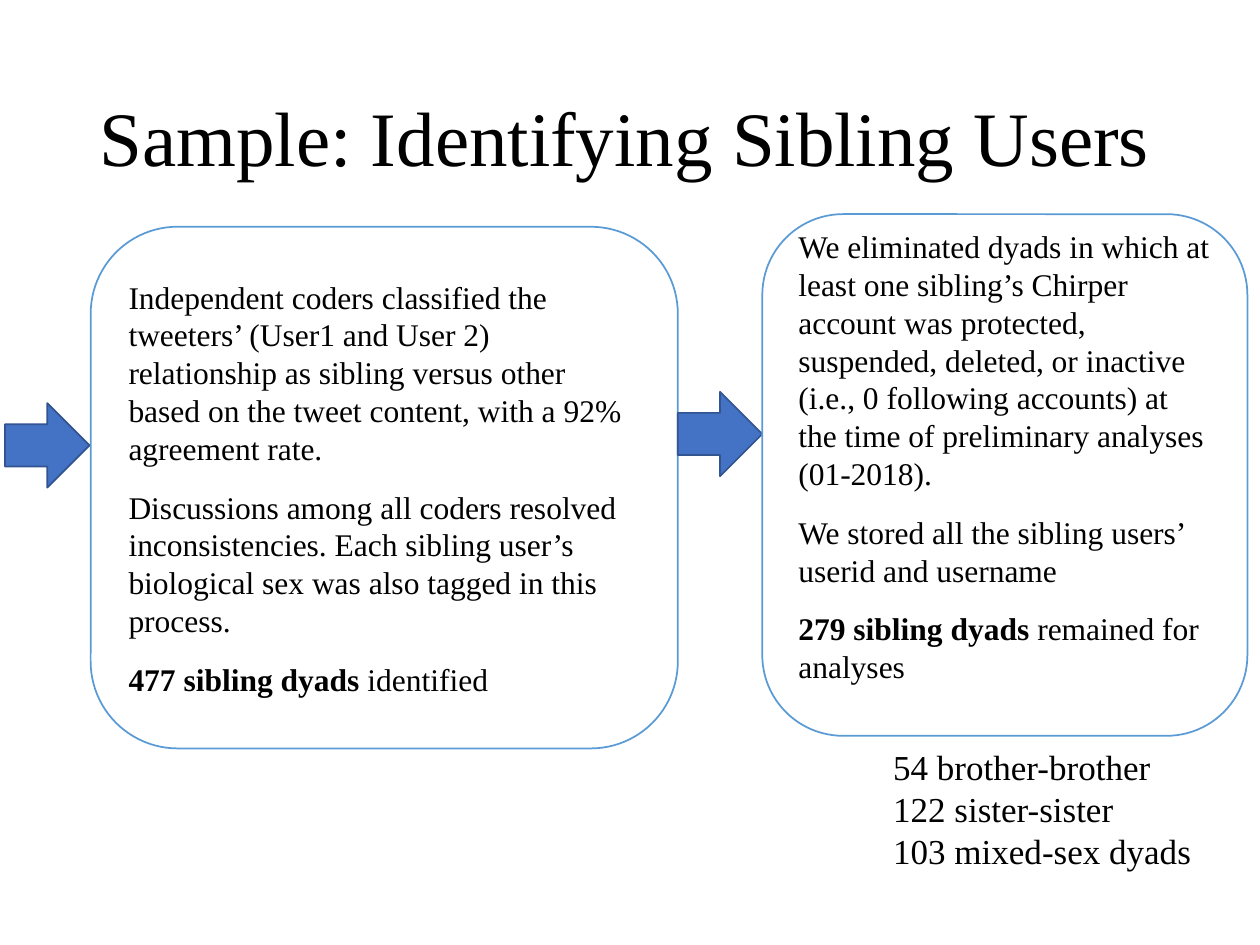
from dataclasses import dataclass

from pptx import Presentation
from pptx import util as u
from pptx.dml.color import RGBColor
from pptx.enum import shapes, text


@dataclass(frozen=True)
class Theme:
    """Colours, font and type sizes of the slide."""
    font: str = "Times New Roman"
    ink: str = "000000"
    paper: str = "FFFFFF"
    outline: str = "5B9BD5"
    arrow: str = "4472C4"
    arrow_edge: str = "325491"
    title: int = 44
    body: int = 18
    tally: int = 20


THEME = Theme()
ARROW_SIZE = 0.67

CODING = [
    [("Independent coders classified the tweeters’ (User1 and User 2) relationship as sibling "
      "versus other based on the tweet content, with a 92% agreement rate.", False)],
    [("Discussions among all coders resolved inconsistencies. Each sibling user’s biological "
      "sex was also tagged in this process.", False)],
    [("477 sibling dyads ", True), ("identified", False)],
]
SCREENING = [
    [("We eliminated dyads in which at least one sibling’s Chirper account was protected, "
      "suspended, deleted, or inactive (i.e., 0 following accounts) at the time of "
      "preliminary analyses (01-2018).", False)],
    [("We stored all the sibling users’ userid and username", False)],
    [("279 sibling dyads ", True), ("remained for analyses", False)],
]
DYAD_COUNTS = ["54 brother-brother", "122 sister-sister", "103 mixed-sex dyads"]


def place(part, box):
    """Move a part to a box of left, top, width and height in inches."""
    part.left, part.top, part.width, part.height = map(u.Inches, box)


def write(paragraph, words, size=THEME.body, bold=False):
    """Add formatted words to a left-aligned paragraph."""
    paragraph.alignment = text.PP_ALIGN.LEFT
    run = paragraph.add_run()
    run.text = words
    run.font.name = THEME.font
    run.font.size = u.Pt(size)
    run.font.bold = bold
    run.font.color.rgb = RGBColor.from_string(THEME.ink)


def paragraphs(frame, count):
    """Return the given number of paragraphs of a text frame."""
    return [frame.paragraphs[0]] + [frame.add_paragraph() for _ in range(count - 1)]


def draw_shape(slide, kind, box, fill, line):
    """Draw a flat preset shape in the box."""
    shape = slide.shapes.add_shape(kind, *map(u.Inches, box))
    shape.shadow.inherit = False
    shape.fill.solid()
    shape.fill.fore_color.rgb = RGBColor.from_string(fill)
    shape.line.color.rgb = RGBColor.from_string(line)
    shape.line.width = u.Pt(1)
    return shape


def draw_title(slide, box, words):
    """Fill the title placeholder."""
    title = slide.shapes.title
    place(title, box)
    frame = title.text_frame
    frame.auto_size = text.MSO_AUTO_SIZE.NONE
    frame.vertical_anchor = text.MSO_ANCHOR.MIDDLE
    frame.paragraphs[0].line_spacing = 0.9
    write(frame.paragraphs[0], words, size=THEME.title)


def draw_step(slide, box, content, bottom_inset=0.05):
    """Draw a rounded process step with its paragraphs."""
    step = draw_shape(slide, shapes.MSO_SHAPE.ROUNDED_RECTANGLE, box, THEME.paper, THEME.outline)
    frame = step.text_frame
    frame.word_wrap = True
    frame.vertical_anchor = text.MSO_ANCHOR.MIDDLE
    frame.margin_bottom = u.Inches(bottom_inset)
    lines = paragraphs(frame, len(content))
    for paragraph, pieces in zip(lines, content):
        for words, bold in pieces:
            write(paragraph, words, bold=bold)
    for paragraph in lines[:-1]:
        paragraph.space_after = u.Pt(12)


def draw_arrow(slide, left, top):
    """Draw a block arrow leading into a step."""
    box = (left, top, ARROW_SIZE, ARROW_SIZE)
    draw_shape(slide, shapes.MSO_SHAPE.RIGHT_ARROW, box, THEME.arrow, THEME.arrow_edge)


def draw_tally(slide, box, counts):
    """List the dyad counts on the second indent level."""
    frame = slide.shapes.add_textbox(*map(u.Inches, box)).text_frame
    frame.word_wrap = True
    for paragraph, words in zip(paragraphs(frame, len(counts)), counts):
        paragraph.level = 1
        write(paragraph, words, size=THEME.tally)


def main():
    """Build and save the slide."""
    deck = Presentation()
    deck.slide_width, deck.slide_height = u.Inches(10), u.Inches(7.5)
    slide = deck.slides.add_slide(deck.slide_layouts[5])
    draw_title(slide, (0.69, 0.4, 8.62, 1.45), "Sample: Identifying Sibling Users")
    draw_step(slide, (0.72, 1.8, 4.66, 4.14), CODING)
    draw_arrow(slide, 0.04, 3.2)
    draw_arrow(slide, 5.38, 3.11)
    draw_step(slide, (6.05, 1.7, 3.85, 4.14), SCREENING, bottom_inset=0.35)
    draw_tally(slide, (6.49, 5.87, 5, 1.11), DYAD_COUNTS)
    deck.save("out.pptx")


if __name__ == "__main__":
    main()
